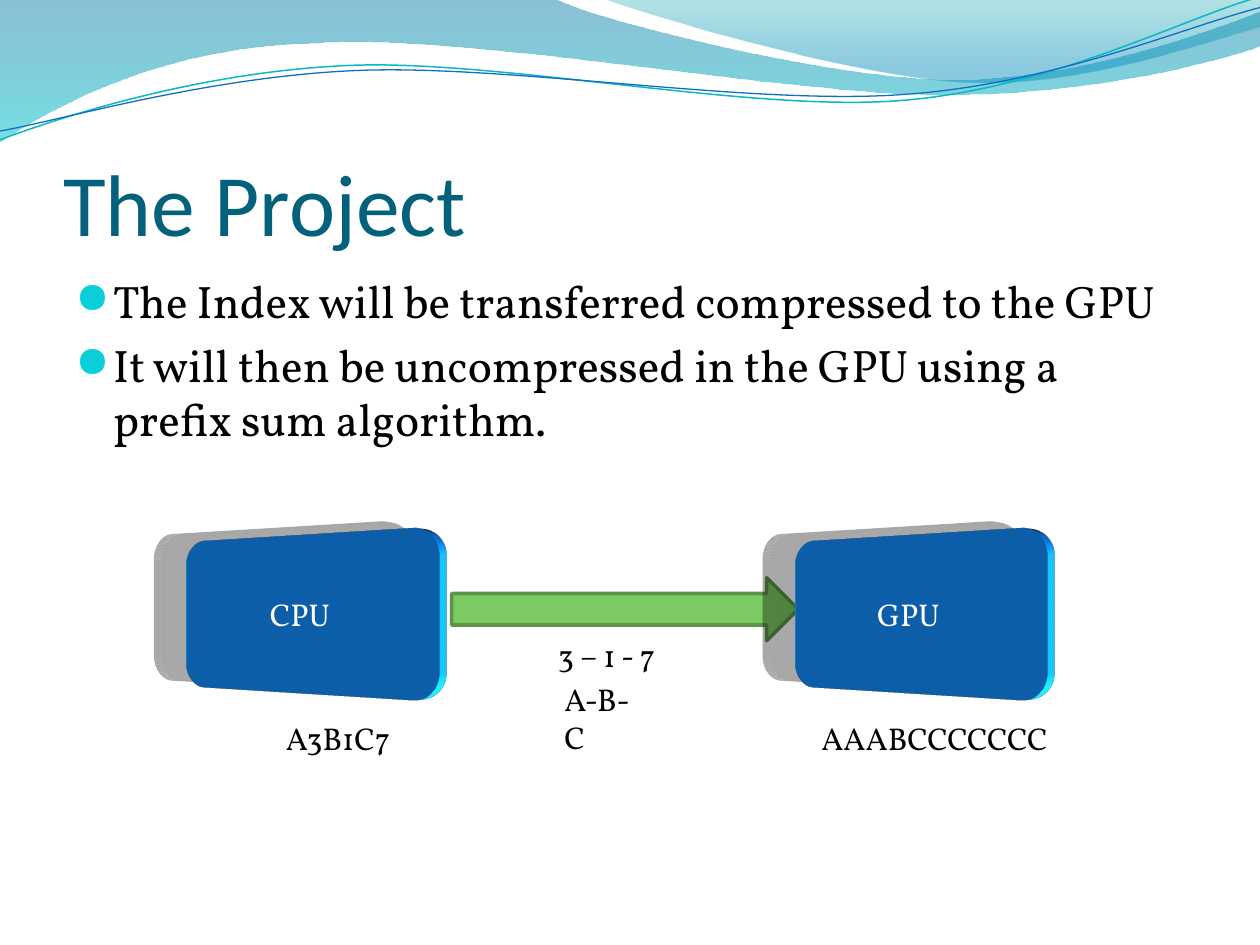
from lxml import etree
from pptx import Presentation
from pptx.dml.color import RGBColor
from pptx.enum.shapes import MSO_SHAPE
from pptx.enum.text import MSO_ANCHOR, MSO_AUTO_SIZE, PP_ALIGN
from pptx.oxml import parse_xml
from pptx.oxml.ns import qn
from pptx.util import Inches, Pt

NS = 'xmlns:a="http://schemas.openxmlformats.org/drawingml/2006/main"'
DOWN, ROUND = MSO_SHAPE.DOWN_ARROW, MSO_SHAPE.ROUNDED_RECTANGLE
BOTTOM, MIDDLE = MSO_ANCHOR.BOTTOM, MSO_ANCHOR.MIDDLE
LEFT, CENTER = PP_ALIGN.LEFT, PP_ALIGN.CENTER
FIXED = MSO_AUTO_SIZE.NONE

BLACK = RGBColor(0, 0, 0)
WHITE = RGBColor(255, 255, 255)
TEAL = RGBColor(0x04, 0x61, 0x7B)
BLUE = RGBColor(0x0F, 0x6F, 0xC6)
CYAN = RGBColor(0x0A, 0xB8, 0xBF)
GREEN = RGBColor(0x7C, 0xCA, 0x62)
EDGE = RGBColor(0x5C, 0x95, 0x49)
SERIF = "Vollkorn"

# Content
TITLE = "The Project"
POINTS = [
    "The Index will be transferred compressed to the GPU",
    "It will then be uncompressed in the GPU using a prefix sum algorithm.",
]
UNITS = [("CPU", 1.17), ("GPU", 6)]
# text, left, top, width, indent, wrap
LABELS = [
    ("A3B1C7", 1.67, 5.66, 2.08, 0.5, True),
    ("AAABCCCCCCC", 5.92, 5.66, 3.17, 0.5, True),
    ("A-B-C", 4.38, 5.35, 0.85, 0, True),
    ("3 – 1 - 7", 4.33, 5, 0.99, 0, False),
]

# Waves: a pair is a straight step, six numbers are a Bézier curve
BANDS = [
    ([(0, 0), (4.4, -0.01), (4.76, 0.17, 6.64, 0.63, 7.58, 0.63),
      (8.53, 0.63, 9.58, 0.26, 10, 0.09), (10.01, 0.36),
      (9.83, 0.44, 8.7, 0.76, 7.46, 0.75), (6.22, 0.75, 3.82, 0.28, 2.57, 0.34),
      (1.29, 0.36, 0.46, 0.83, -0.01, 1.13)],
     [(0, "0074A1", 45), (100, "00C6CF", 55)]),
    ([(4.79, -0.01), (5.09, 0.11, 6.82, 0.62, 7.69, 0.65),
      (8.56, 0.69, 9.61, 0.32, 10, 0.21), (10, 0)],
     [(0, "00A1A9", 30), (80, "008BBF", 45)]),
]
STRANDS = [
    ([(0, 1.11), (0.48, 0.93, 1.58, 0.57, 2.77, 0.52),
      (3.95, 0.47, 5.93, 0.89, 7.13, 0.8),
      (8.33, 0.71, 9.38, 0.15, 9.98, -0.02)], CYAN, 0.85),
    ([(0, 1.04), (0.47, 0.96, 1.64, 0.61, 2.83, 0.56),
      (4.03, 0.51, 5.97, 0.84, 7.17, 0.75),
      (8.36, 0.67, 9.41, 0.21, 10, 0.06)], BLUE, 0.75),
]

# Shadow and perspective of the panels
DEPTH = [
    f'<a:effectLst {NS}><a:outerShdw blurRad="184150" dist="241300" '
    'dir="11520000" sx="110000" sy="110000" algn="ctr"><a:srgbClr val="000000">'
    '<a:alpha val="18000"/></a:srgbClr></a:outerShdw></a:effectLst>',
    f'<a:scene3d {NS}><a:camera prst="perspectiveFront" fov="5100000">'
    '<a:rot lat="0" lon="2100000" rev="0"/></a:camera>'
    '<a:lightRig rig="flood" dir="t"><a:rot lat="0" lon="0" rev="13800000"/>'
    '</a:lightRig></a:scene3d>',
    f'<a:sp3d {NS} extrusionH="107950" prstMaterial="plastic">'
    '<a:bevelT w="82550" h="63500" prst="divot"/><a:bevelB/></a:sp3d>',
]

prs = Presentation()
prs.slide_width, prs.slide_height = Inches(10), Inches(7.5)
slide = prs.slides.add_slide(prs.slide_layouts[5])
shapes = slide.shapes


def draw(steps, close=True):
    """Join the knots, then bend the curved steps."""
    ends = [(Inches(step[-2]), Inches(step[-1])) for step in steps]
    pen = shapes.build_freeform(*ends[0])
    pen.add_line_segments(ends[1:], close=close)
    shape = pen.convert_to_shape()
    shape.shadow.inherit = False
    shape.fill.background()
    shape.line.fill.background()
    legs = list(shape._element.iter(qn("a:lnTo")))
    for leg, step in zip(legs, steps[1:]):
        if len(step) == 6:
            leg.tag = qn("a:cubicBezTo")
            leg.clear()
            for x, y in zip(step[::2], step[1::2]):
                knot = etree.SubElement(leg, qn("a:pt"))
                knot.set("x", str(Inches(x) - shape.left))
                knot.set("y", str(Inches(y) - shape.top))
    return shape


def style(para, size, color, font=SERIF):
    for run in para.runs:
        run.font.size, run.font.name = Pt(size), font
        run.font.color.rgb = color


def box(left, top, width, height, wrap=True):
    frame = shapes.add_textbox(*map(Inches, (left, top, width, height))).text_frame
    frame.word_wrap = wrap
    return frame


def indent(para, left, first=0):
    props = para._p.get_or_add_pPr()
    props.set("marL", str(Inches(left)))
    props.set("indent", str(Inches(first)))
    return props


# Header waves
for steps, stops in BANDS:
    band = draw(steps)
    marks = "".join(
        f'<a:gs pos="{pos * 1000}"><a:srgbClr val="{color}">'
        f'<a:alpha val="{alpha * 1000}"/></a:srgbClr></a:gs>'
        for pos, color, alpha in stops)
    props = band._element.spPr
    props.replace(props.find(qn("a:noFill")), parse_xml(
        f'<a:gradFill {NS} rotWithShape="1"><a:gsLst>{marks}</a:gsLst>'
        '<a:lin ang="5400000" scaled="0"/></a:gradFill>'))
for steps, color, width in STRANDS:
    line = draw(steps, close=False).line
    line.color.rgb, line.width = color, Pt(width)

# Title
title = shapes.title
title.left, title.top, title.width, title.height = map(Inches, (0.5, 0.77, 9, 1.25))
frame = title.text_frame
frame.text = TITLE
frame.auto_size, frame.vertical_anchor = FIXED, BOTTOM
frame.margin_left = frame.margin_right = frame.margin_bottom = 0
frame.paragraphs[0].alignment = LEFT
style(frame.paragraphs[0], 50, TEAL, "Calibri")

# Bullets
frame = box(0.5, 2.12, 9, 4.8)
frame.text = "\n".join(POINTS)
for para in frame.paragraphs:
    style(para, 26, BLACK)
    para.space_before = Pt(5.2)
    props = indent(para, 0.3, -0.3)
    color = etree.SubElement(props, qn("a:buClr"))
    etree.SubElement(color, qn("a:srgbClr")).set("val", "0BD0D9")
    etree.SubElement(props, qn("a:buSzPct")).set("val", "95000")
    etree.SubElement(props, qn("a:buFont")).set("typeface", "OpenSymbol")
    etree.SubElement(props, qn("a:buChar")).set("char", "●")


def add(kind, left, top, width, height, color):
    shape = shapes.add_shape(kind, *map(Inches, (left, top, width, height)))
    shape.shadow.inherit = False
    shape.fill.solid()
    shape.fill.fore_color.rgb = color
    shape.line.fill.background()
    return shape


def add_unit(name, left):
    panel = add(ROUND, left, 4.25, 2.42, 1.25, BLUE)
    props = panel._element.spPr
    props.remove(props.find(qn("a:effectLst")))
    for part in DEPTH:
        props.append(parse_xml(part))
    frame = panel.text_frame
    frame.text = name
    frame.vertical_anchor = MIDDLE
    frame.paragraphs[0].alignment = CENTER
    style(frame.paragraphs[0], 18, WHITE)


# Transfer from one unit to the other
add_unit(*UNITS[0])
arrow = add(DOWN, 4.71, 3.46, 0.5, 2.75, GREEN)
arrow.rotation = 270
arrow.line.color.rgb, arrow.line.width = EDGE, Pt(2)
add_unit(*UNITS[1])

# Labels
for text, left, top, width, inset, wrap in LABELS:
    frame = box(left, top, width, 0.4, wrap)
    frame.text = text
    indent(frame.paragraphs[0], inset)
    style(frame.paragraphs[0], 18, BLACK)

prs.save("out.pptx")
